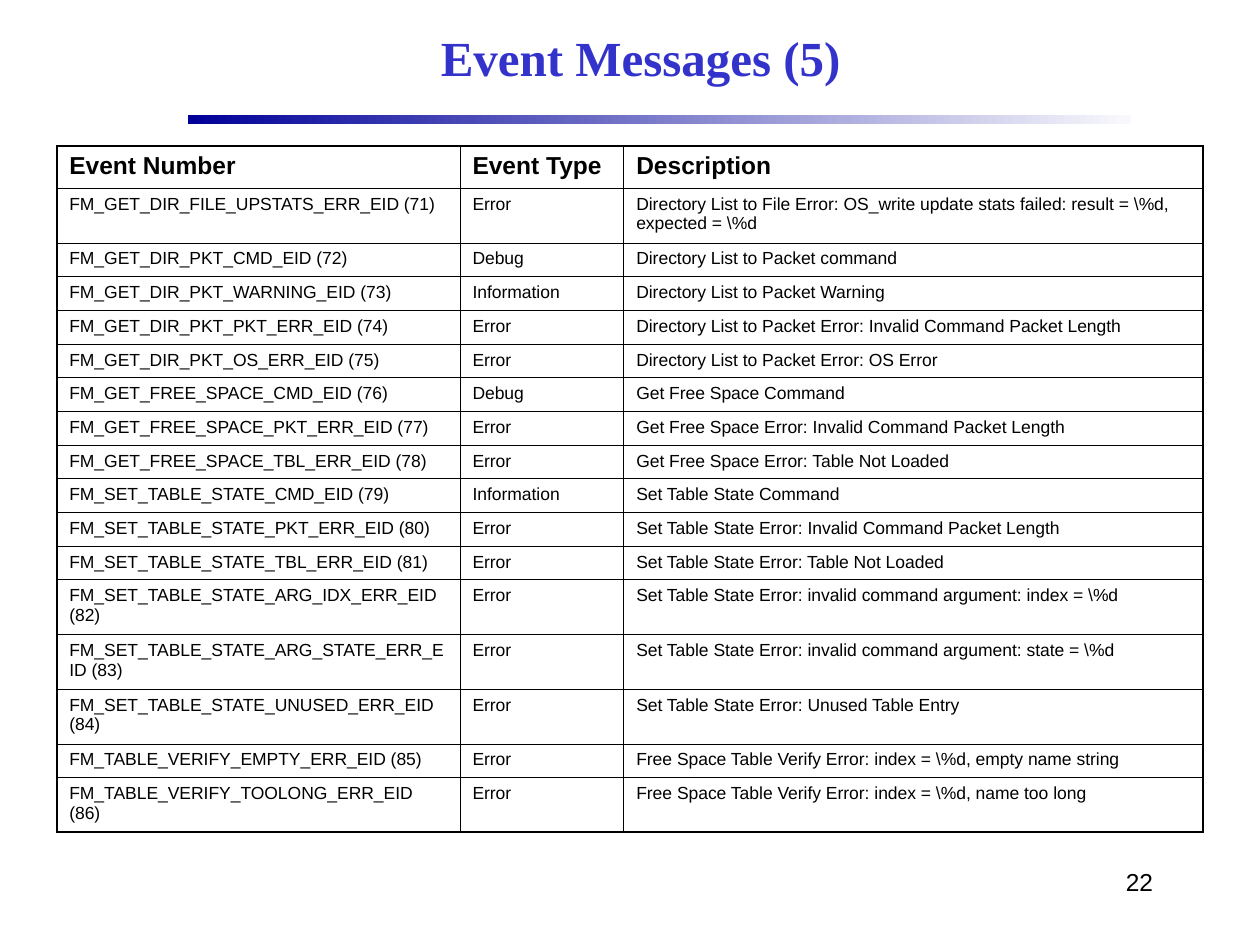
import dataclasses
import pptx
import pptx.dml.color
import pptx.enum.shapes
import pptx.enum.text
import pptx.oxml
import pptx.oxml.ns
import pptx.util

ALIGN = pptx.enum.text.PP_ALIGN
ANCHOR = pptx.enum.text.MSO_ANCHOR


@dataclasses.dataclass(frozen=True)
class Theme:
    ink: str = "000000"
    title: str = "3333CC"
    start: str = "000099"
    end: str = "F9F9FD"
    sans: str = "Arial"
    serif: str = "Times New Roman"
    big: int = 28
    mid: int = 14
    small: int = 10
    thick: float = 1.08
    thin: float = 0.45


def color(code):
    return pptx.dml.color.RGBColor.from_string(code)


def write(frame, text, size, font, ink, bold=False, align=ALIGN.LEFT):
    """Put one formatted paragraph in a text frame."""
    frame.word_wrap = True
    para = frame.paragraphs[0]
    para.alignment = align
    run = para.add_run()
    run.text = text
    run.font.size = pptx.util.Pt(size)
    run.font.name = font
    run.font.bold = bold
    run.font.color.rgb = color(ink)


class Board:
    """Holds the theme and slide; lengths are cells of a 100 by 75 grid."""

    def __init__(self, deck, theme):
        self.theme = theme
        self.slide = deck.slides.add_slide(deck.slide_layouts[6])
        self.cell = deck.slide_width / 100

    def span(self, *cells):
        return [pptx.util.Emu(round(n * self.cell)) for n in cells]

    def text(self, box, text, anchor=ANCHOR.TOP, **style):
        frame = self.slide.shapes.add_textbox(*self.span(*box)).text_frame
        frame.vertical_anchor = anchor
        write(frame, text, **style)

    def band(self, box):
        kind = pptx.enum.shapes.MSO_SHAPE.RECTANGLE
        bar = self.slide.shapes.add_shape(kind, *self.span(*box))
        bar.shadow.inherit = False
        bar.line.fill.background()
        bar.fill.gradient()
        bar.fill.gradient_angle = 0
        for stop, code in zip(bar.fill.gradient_stops,
                              (self.theme.start, self.theme.end)):
            stop.color.rgb = color(code)

    def edge(self, cell, side, width):
        space = pptx.oxml.ns.nsdecls("a")
        cell._tc.get_or_add_tcPr().append(pptx.oxml.parse_xml(
            f'<a:ln{side} {space} w="{pptx.util.Pt(width)}"><a:solidFill>'
            f'<a:srgbClr val="{self.theme.ink}"/></a:solidFill></a:ln{side}>'))

    def table(self, box, rows, wide, tall):
        look = self.theme
        grid = self.slide.shapes.add_table(
            len(rows), len(wide), *self.span(*box)).table
        grid.first_row = grid.horz_banding = False
        for part, size in zip(grid.columns, self.span(*wide)):
            part.width = size
        for part, size in zip(grid.rows, self.span(*tall)):
            part.height = size
        for r, row in enumerate(rows):
            for c, text in enumerate(row):
                cell = grid.cell(r, c)
                outer = {"L": c == 0, "R": c == len(wide) - 1,
                         "T": r == 0, "B": r == len(rows) - 1}
                for side, rim in outer.items():
                    self.edge(cell, side, look.thick if rim else look.thin)
                cell.fill.background()
                write(cell.text_frame, text, font=look.sans, ink=look.ink,
                      size=look.small if r else look.mid, bold=r == 0)


HEAD = ("Event Number", "Event Type", "Description")
FIRST = 71  # number of the first event
EVENTS = [
    ("GET_DIR_FILE_UPSTATS_ERR", "Error", r"Directory List to File Error: "
     r"OS_write update stats failed: result = \%d, expected = \%d"),
    ("GET_DIR_PKT_CMD", "Debug", "Directory List to Packet command"),
    ("GET_DIR_PKT_WARNING", "Information", "Directory List to Packet Warning"),
    ("GET_DIR_PKT_PKT_ERR", "Error",
     "Directory List to Packet Error: Invalid Command Packet Length"),
    ("GET_DIR_PKT_OS_ERR", "Error", "Directory List to Packet Error: OS Error"),
    ("GET_FREE_SPACE_CMD", "Debug", "Get Free Space Command"),
    ("GET_FREE_SPACE_PKT_ERR", "Error",
     "Get Free Space Error: Invalid Command Packet Length"),
    ("GET_FREE_SPACE_TBL_ERR", "Error",
     "Get Free Space Error: Table Not Loaded"),
    ("SET_TABLE_STATE_CMD", "Information", "Set Table State Command"),
    ("SET_TABLE_STATE_PKT_ERR", "Error",
     "Set Table State Error: Invalid Command Packet Length"),
    ("SET_TABLE_STATE_TBL_ERR", "Error",
     "Set Table State Error: Table Not Loaded"),
    ("SET_TABLE_STATE_ARG_IDX_ERR", "Error",
     r"Set Table State Error: invalid command argument: index = \%d"),
    ("SET_TABLE_STATE_ARG_STATE_ERR", "Error",
     r"Set Table State Error: invalid command argument: state = \%d"),
    ("SET_TABLE_STATE_UNUSED_ERR", "Error",
     "Set Table State Error: Unused Table Entry"),
    ("TABLE_VERIFY_EMPTY_ERR", "Error",
     r"Free Space Table Verify Error: index = \%d, empty name string"),
    ("TABLE_VERIFY_TOOLONG_ERR", "Error",
     r"Free Space Table Verify Error: index = \%d, name too long"),
]
DOUBLE = {71, 82, 83, 84, 86}  # events that take two lines


def main():
    deck = pptx.Presentation()
    deck.slide_width = pptx.util.Inches(10)
    deck.slide_height = pptx.util.Inches(7.5)
    look = Theme()
    board = Board(deck, look)

    # Title and the band under it
    board.band((14.9, 9.15, 74.9, 0.7))
    board.text((15, 0.8, 71.7, 7.5), "Event Messages (5)", ANCHOR.MIDDLE,
               size=look.big, font=look.serif, ink=look.title, bold=True,
               align=ALIGN.CENTER)

    # Event table: single-line rows share what the taller rows leave
    high, top, pair = 54.4, 3.3, 4.34
    line = (high - top - pair * len(DOUBLE)) / (len(EVENTS) - len(DOUBLE))
    rows, tall = [HEAD], [top]
    for num, (name, kind, note) in enumerate(EVENTS, FIRST):
        rows.append((f"FM_{name}_EID ({num})", kind, note))
        tall.append(pair if num in DOUBLE else line)
    board.table((4.5, 11.6, 91, high), rows, (32, 13, 46), tall)

    # Page number
    board.text((71.7, 68.3, 20.8, 5), "22", size=look.mid, font=look.sans,
               ink=look.ink, align=ALIGN.RIGHT)

    deck.save("out.pptx")


if __name__ == "__main__":
    main()
